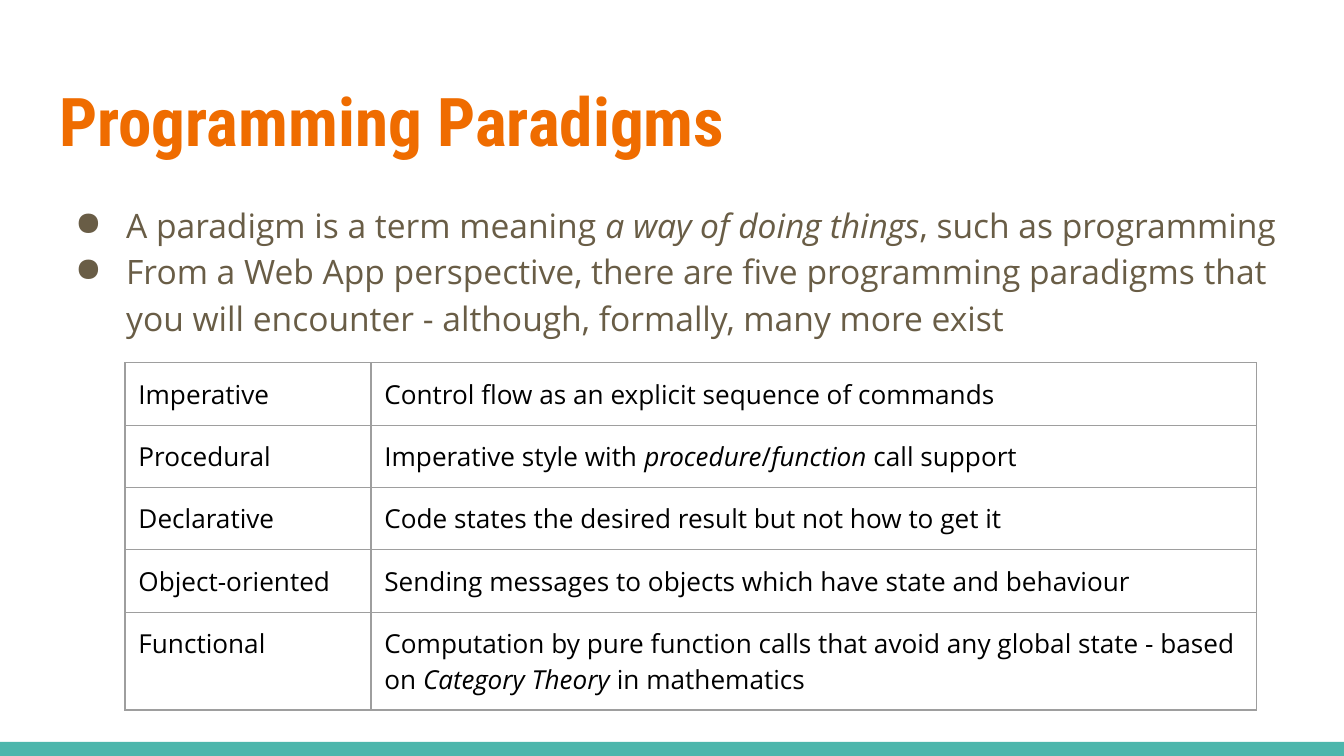
import pptx
import pptx.util
import pptx.dml.color
import pptx.enum.shapes
import pptx.enum.text
import pptx.oxml.ns
from lxml import etree

Inches, Pt = pptx.util.Inches, pptx.util.Pt
qn = pptx.oxml.ns.qn
COLORS = {"title": "EF6C00", "body": "695D46", "cell": "000000",
          "border": "9E9E9E", "band": "4DB6AC", "background": "FFFFFF"}
MARGIN = 0.1
CELL_LINE = 19 / 72  # height of one line of cell text

# Asterisks enclose italic words
BULLETS = [
    "A paradigm is a term meaning *a way of doing things*, such as programming",
    "From a Web App perspective, there are five programming paradigms that "
    "you will encounter - although, formally, many more exist",
]
PARADIGMS = [
    ("Imperative", "Control flow as an explicit sequence of commands"),
    ("Procedural", "Imperative style with *procedure*/*function* call support"),
    ("Declarative", "Code states the desired result but not how to get it"),
    ("Object-oriented", "Sending messages to objects which have state and behaviour"),
    ("Functional", "Computation by pure function calls that avoid any global state - "
                   "based on *Category Theory* in mathematics"),
]
LINES_PER_ROW = (1, 1, 1, 1, 2)


def rgb(name):
    return pptx.dml.color.RGBColor.from_string(COLORS[name])


def set_font(font, name, size, color):
    font.name, font.size = name, Pt(size)
    font.color.rgb = rgb(color)


def set_margins(target):
    target.margin_left = target.margin_right = Inches(MARGIN)
    target.margin_top = target.margin_bottom = Inches(MARGIN)


def write_runs(p, text, size, color):
    for i, part in enumerate(text.split("*")):
        r = p.add_run()
        r.text = part
        set_font(r.font, "Open Sans", size, color)
        r.font.italic = i % 2 == 1


def add_bullet(p):
    pPr = p._p.get_or_add_pPr()
    pPr.set("marL", str(Inches(0.5)))
    pPr.set("indent", str(Inches(-0.38)))
    clr = etree.SubElement(pPr, qn("a:buClr"))
    etree.SubElement(clr, qn("a:srgbClr"), val=COLORS["body"])
    etree.SubElement(pPr, qn("a:buChar"), char="●")


def add_borders(cell):
    tcPr = cell._tc.get_or_add_tcPr()
    for side in ("lnL", "lnR", "lnT", "lnB"):
        ln = etree.SubElement(tcPr, qn("a:" + side), w=str(Pt(0.75)))
        fill = etree.SubElement(ln, qn("a:solidFill"))
        etree.SubElement(fill, qn("a:srgbClr"), val=COLORS["border"])


def add_band(s, x, y, w, h):
    sp = s.shapes.add_shape(pptx.enum.shapes.MSO_SHAPE.RECTANGLE,
                            Inches(x), Inches(y), Inches(w), Inches(h))
    sp.shadow.inherit = False
    sp.fill.solid()
    sp.fill.fore_color.rgb = rgb("band")
    sp.line.fill.background()


def place_title(s, x, y, w, h):
    sp = s.shapes.title
    sp.left, sp.top, sp.width, sp.height = (Inches(v) for v in (x, y, w, h))
    tf = sp.text_frame
    tf.text = "Programming Paradigms"
    tf.auto_size = pptx.enum.text.MSO_AUTO_SIZE.NONE
    tf.vertical_anchor = pptx.enum.text.MSO_ANCHOR.TOP
    set_margins(tf)
    p = tf.paragraphs[0]
    p.alignment = pptx.enum.text.PP_ALIGN.LEFT
    set_font(p.runs[0].font, "Roboto Condensed", 36, "title")
    p.runs[0].font.bold = True


def add_bullets(s, x, y, w, h):
    tf = s.shapes.add_textbox(Inches(x), Inches(y), Inches(w), Inches(h)).text_frame
    tf.word_wrap = True
    set_margins(tf)
    for i, text in enumerate(BULLETS):
        p = tf.add_paragraph() if i else tf.paragraphs[0]
        add_bullet(p)
        p.line_spacing = 1.15
        write_runs(p, text, 18, "body")


def add_paradigm_table(s, x, y, col_widths):
    heights = [2 * MARGIN + n * CELL_LINE for n in LINES_PER_ROW]
    table = s.shapes.add_table(len(PARADIGMS), len(col_widths), Inches(x), Inches(y),
                               Inches(sum(col_widths)), Inches(sum(heights))).table
    table.first_row = table.horz_banding = False
    for col, width in zip(table.columns, col_widths):
        col.width = Inches(width)
    for row, height, texts in zip(table.rows, heights, PARADIGMS):
        row.height = Inches(height)
        for cell, text in zip(row.cells, texts):
            set_margins(cell)
            add_borders(cell)
            cell.fill.background()
            write_runs(cell.text_frame.paragraphs[0], text, 14, "cell")


def main():
    prs = pptx.Presentation()
    # Widescreen, 16:9
    prs.slide_width, prs.slide_height = Inches(10), Inches(10 * 9 / 16)
    s = prs.slides.add_slide(prs.slide_layouts[5])
    s.background.fill.solid()
    s.background.fill.fore_color.rgb = rgb("background")

    add_band(s, 0, 5.52, 10, 0.11)
    place_title(s, 0.34, 0.49, 9.32, 0.77)
    add_bullets(s, 0.34, 1.38, 9.32, 3.61)
    add_paradigm_table(s, 0.93, 2.7, (1.83, 6.59))
    prs.save("out.pptx")


if __name__ == "__main__":
    main()
